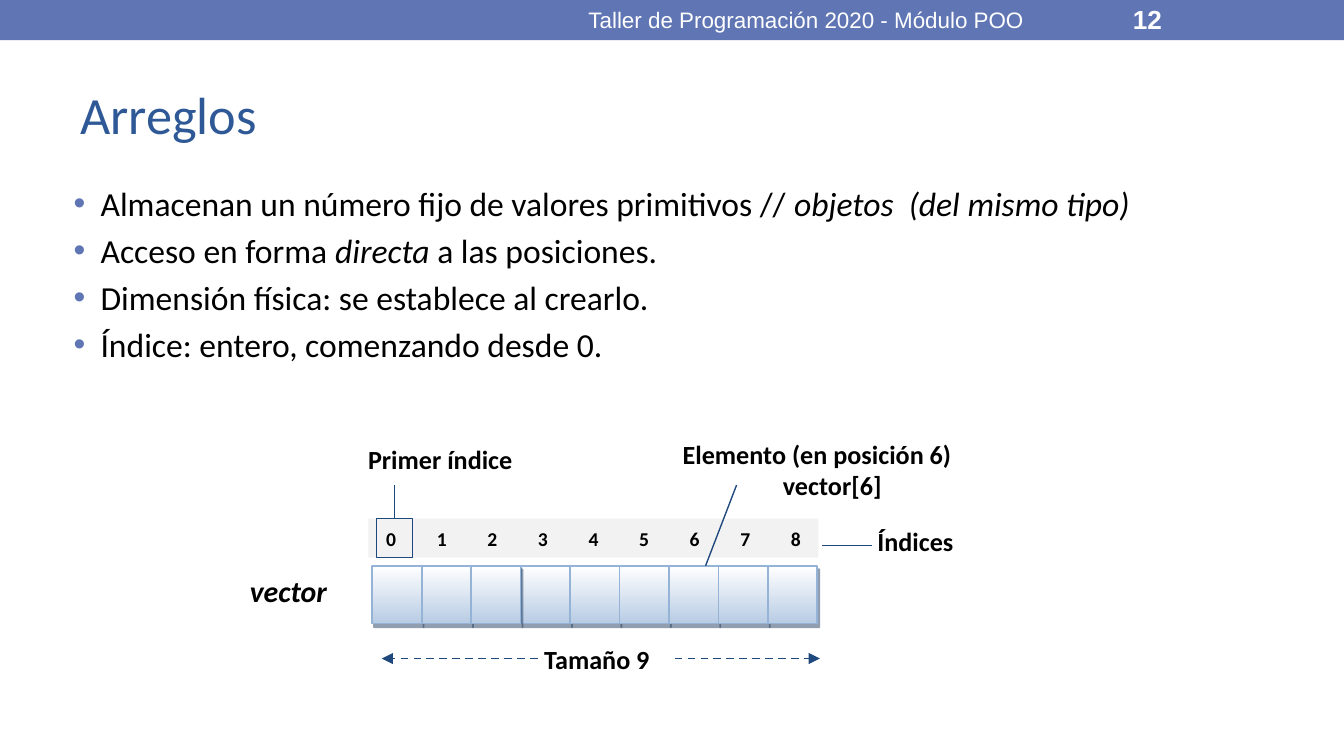
from dataclasses import dataclass
from typing import Optional

from lxml.etree import SubElement
from pptx import Presentation
from pptx.dml.color import RGBColor
from pptx.enum.dml import MSO_LINE_DASH_STYLE as Dash
from pptx.enum.shapes import MSO_CONNECTOR as Connector, MSO_SHAPE as Preset
from pptx.enum.text import MSO_ANCHOR as Anchor, PP_ALIGN as Align
from pptx.oxml.ns import qn
from pptx.util import Pt

COLORS = {
    "header": "6076B4", "title": "2F5897", "text": "000000", "white": "FFFFFF",
    "line": "1F497D", "band": "F2F2F2", "cell_end": "B8CCE4",
    "cell_border": "95B3D7", "cell_shadow": "243F60",
}


@dataclass
class Span:
    text: str
    size: float = 14
    bold: bool = False
    italic: bool = False
    font: str = "Calibri"
    color: str = "text"


@dataclass
class Label:
    left: float
    top: float
    width: float
    height: float
    span: Span
    anchor: Anchor = Anchor.TOP
    align: Align = Align.LEFT


@dataclass
class Stroke:
    start: tuple[float, float]
    end: tuple[float, float]
    weight: float = 0.75
    arrow: bool = False


def rgb(name: str) -> RGBColor:
    return RGBColor.from_string(COLORS[name])


def add_span(para, span: Span) -> None:
    run = para.add_run()
    run.text = span.text
    font = run.font
    font.name, font.size = span.font, Pt(span.size)
    font.bold, font.italic = span.bold, span.italic
    font.color.rgb = rgb(span.color)


def add_label(page, label: Label):
    box = page.shapes.add_textbox(
        Pt(label.left), Pt(label.top), Pt(label.width), Pt(label.height))
    frame = box.text_frame
    frame.word_wrap = True
    frame.vertical_anchor = label.anchor
    frame.paragraphs[0].alignment = label.align
    add_span(frame.paragraphs[0], label.span)
    return box


def add_box(page, left: float, top: float, width: float, height: float,
            fill: Optional[str] = None, border: Optional[str] = None,
            weight: float = 0.75):
    box = page.shapes.add_shape(
        Preset.RECTANGLE, Pt(left), Pt(top), Pt(width), Pt(height))
    box.shadow.inherit = False
    if fill:
        box.fill.solid()
        box.fill.fore_color.rgb = rgb(fill)
    else:
        box.fill.background()
    if border:
        box.line.color.rgb = rgb(border)
        box.line.width = Pt(weight)
    else:
        box.line.fill.background()
    return box


def add_cell(page, left: float, top: float, width: float, height: float) -> None:
    cell = add_box(page, left, top, width, height, border="cell_border", weight=1)
    cell.fill.gradient()
    cell.fill.gradient_angle = 270
    for stop, name, position in zip(
            cell.fill.gradient_stops, ("white", "cell_end"), (0, 1)):
        stop.color.rgb = rgb(name)
        stop.position = position
    effects = cell.element.spPr.find(qn("a:effectLst"))
    shadow = SubElement(effects, qn("a:outerShdw"), blurRad="0",
                        dist=str(Pt(2.2)), dir=str(63 * 60000),
                        algn="ctr", rotWithShape="0")
    color = SubElement(shadow, qn("a:srgbClr"), val=COLORS["cell_shadow"])
    SubElement(color, qn("a:alpha"), val="50000")


def add_stroke(page, stroke: Stroke):
    link = page.shapes.add_connector(
        Connector.STRAIGHT, *(Pt(value) for value in stroke.start + stroke.end))
    link.line.color.rgb = rgb("line")
    link.line.width = Pt(stroke.weight)
    if stroke.arrow:
        link.line.dash_style = Dash.DASH
        SubElement(link.line._get_or_add_ln(), qn("a:tailEnd"), type="triangle")
    SubElement(link.element.spPr, qn("a:effectLst"))
    return link


def set_bullet(para) -> None:
    props = para._p.get_or_add_pPr()
    props.set("marL", str(Pt(14.4)))
    props.set("indent", str(Pt(-14.4)))
    color = SubElement(props, qn("a:buClr"))
    SubElement(color, qn("a:srgbClr"), val=COLORS["header"])
    SubElement(props, qn("a:buFont"), typeface="Arial")
    SubElement(props, qn("a:buChar"), char="•")


BULLETS = [
    [("Almacenan un número fijo de valores primitivos // ", False),
     ("objetos  (del mismo tipo)", True)],
    [("Acceso en forma ", False), ("directa ", True), ("a las posiciones.", False)],
    [("Dimensión física: se establece al crearlo.", False)],
    [("Índice: entero, comenzando desde 0.", False)],
]
HEADINGS = [
    Label(36, 31.7, 648, 58.3, Span("Arreglos", 28, color="title"), Anchor.MIDDLE),
    Label(599.8, 0.7, 84.2, 19.4, Span("12", 14, True, font="Arial", color="white"),
          Anchor.MIDDLE),
    Label(270, 0.7, 324, 19.4,
          Span("Taller de Programación 2020 - Módulo POO", 12, font="Arial",
               color="white"), Anchor.MIDDLE, Align.CENTER),
]
CAPTIONS = [
    Label(463, 277.9, 93.6, 33.8, Span("Índices", bold=True)),
    Label(284.4, 341.3, 94.3, 33.8, Span("Tamaño 9", bold=True)),
    Label(190.1, 234, 122.4, 25.9, Span("Primer índice", bold=True)),
    Label(126.7, 303.1, 56.2, 25.9, Span("vector", 16, True, True)),
]
STROKES = [
    Stroke((440.6, 292.3), (467.3, 292.3)),
    Stroke((288, 352.8), (204.5, 352.8), 1, True),
    Stroke((361.4, 352.8), (439.2, 352.8), 1, True),
    Stroke((378, 303.1), (394.6, 259.9)),
]
CELL_LEFT, CELL_TOP, CELL_WIDTH, CELL_HEIGHT = 199.4, 303.1, 26.5, 31
CELL_ORDER = (3, 4, 5, 0, 1, 2, 6, 7, 8)
BAND_TOP, BAND_HEIGHT = 277.9, 20.9
INDEX_PITCH = 27.1


def draw_bullets(page) -> None:
    box = page.shapes.add_textbox(Pt(32.4), Pt(94.3), Pt(687.6), Pt(288))
    frame = box.text_frame
    frame.word_wrap = True
    for number, spans in enumerate(BULLETS):
        para = frame.add_paragraph() if number else frame.paragraphs[0]
        set_bullet(para)
        para.space_before = Pt(3.6 if number else 0)
        for text, italic in spans:
            add_span(para, Span(text, 18, italic=italic))


def draw_array(page) -> None:
    # Index band, with one tab stop per index
    band = add_box(page, 197.3, BAND_TOP, 241.2, BAND_HEIGHT, fill="band")
    frame = band.text_frame
    frame.margin_left, frame.margin_right = Pt(9.6), Pt(0)
    frame.vertical_anchor = Anchor.MIDDLE
    para = frame.paragraphs[0]
    para.alignment = Align.LEFT
    tabs = SubElement(para._p.get_or_add_pPr(), qn("a:tabLst"))
    for index in range(1, len(CELL_ORDER)):
        SubElement(tabs, qn("a:tab"), pos=str(Pt(INDEX_PITCH * index)), algn="l")
    digits = "\t".join(str(index) for index in range(len(CELL_ORDER)))
    add_span(para, Span(digits, 10.5, True))

    # Cells of the array
    for index in CELL_ORDER:
        add_cell(page, CELL_LEFT + index * CELL_WIDTH, CELL_TOP,
                 CELL_WIDTH, CELL_HEIGHT)

    # Frame around the first index, and its pointer
    first = add_box(page, 201.6, BAND_TOP, 19.4, BAND_HEIGHT, border="line")
    pointer = add_stroke(page, Stroke((211.3, BAND_TOP), (211.3, 259.9)))
    pointer.begin_connect(first, 0)

    # Lines and captions
    for stroke in STROKES:
        add_stroke(page, stroke)
    for caption in CAPTIONS:
        add_label(page, caption)
    element = add_label(page, Label(358.6, 231.1, 236.2, 46.1,
                                    Span("Elemento (en posición 6)", bold=True)))
    para = element.text_frame.add_paragraph()
    para._p.get_or_add_pPr().set("marL", str(Pt(53.7)))
    add_span(para, Span("vector[6]", bold=True))


def main() -> None:
    deck = Presentation()
    deck.slide_width, deck.slide_height = Pt(720), Pt(405)
    page = deck.slides.add_slide(deck.slide_layouts[6])
    # Header bar and headings
    add_box(page, 0, 0, 720, 21.6, fill="header")
    for heading in HEADINGS:
        add_label(page, heading)
    draw_bullets(page)
    draw_array(page)
    deck.save("out.pptx")


if __name__ == "__main__":
    main()
